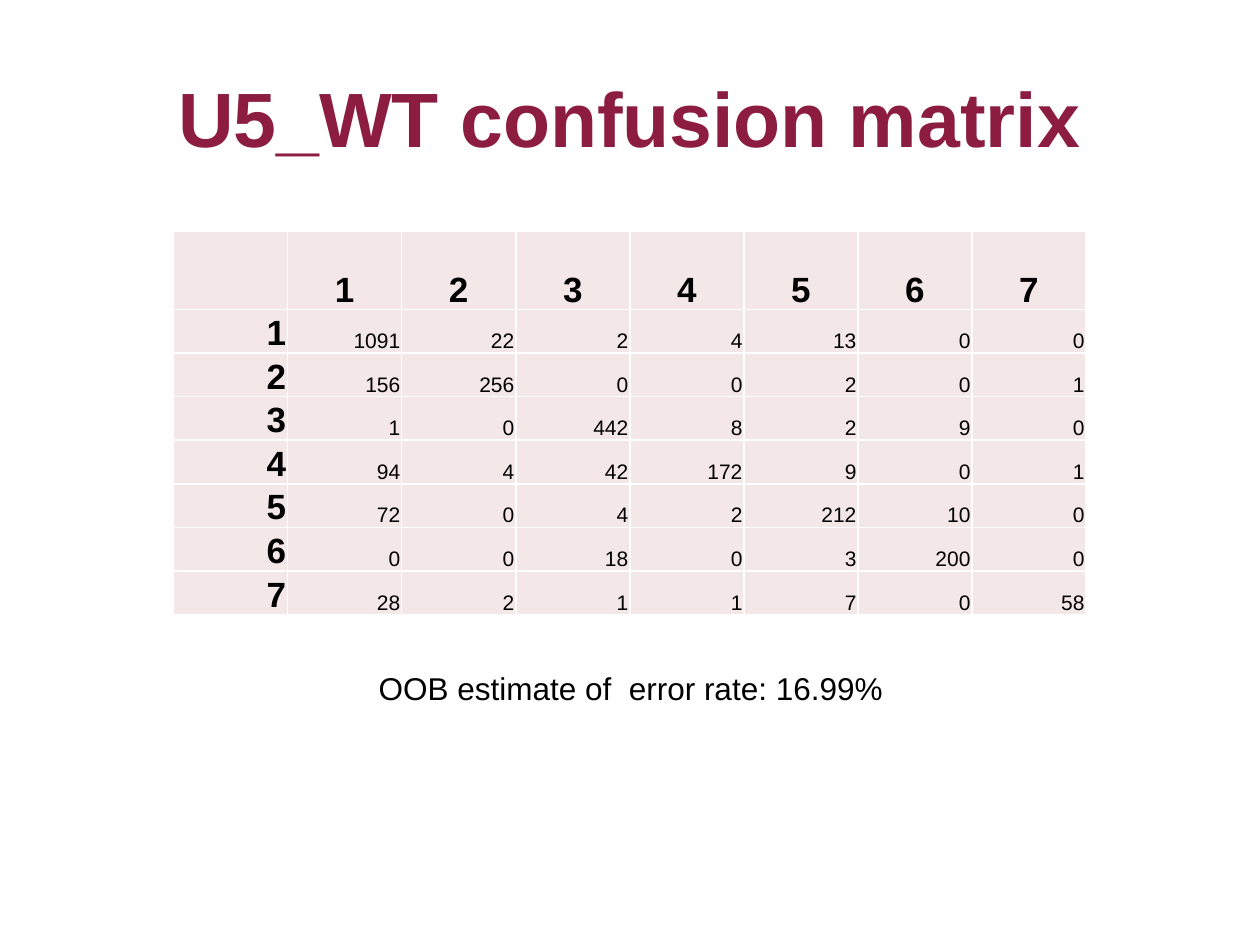
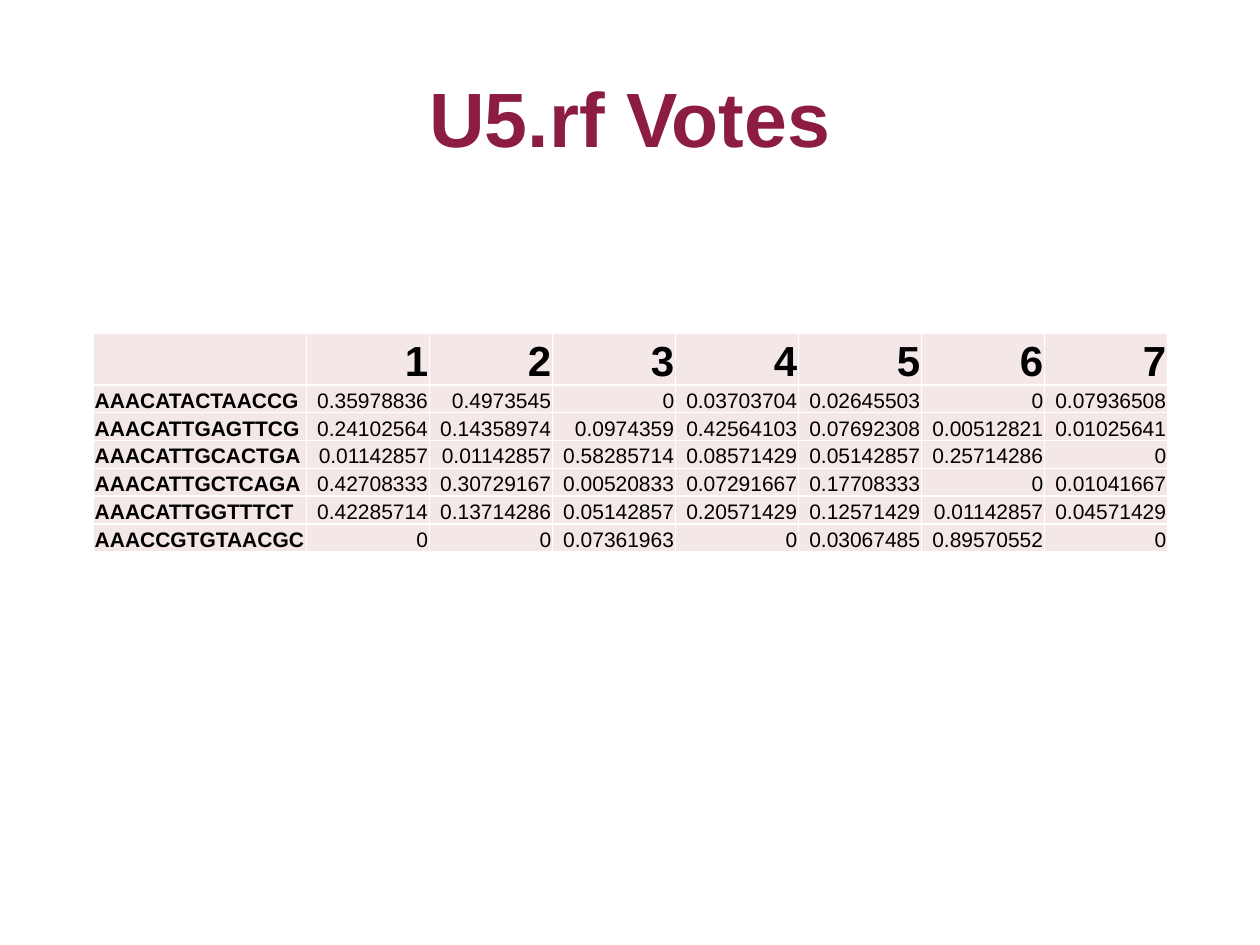
import lxml.etree
import pptx
import pptx.dml.color
import pptx.enum.text
import pptx.oxml.ns
import pptx.util

Cm = pptx.util.Cm
Pt = pptx.util.Pt
ALIGN = pptx.enum.text.PP_ALIGN
ANCHOR = pptx.enum.text.MSO_ANCHOR
qn = pptx.oxml.ns.qn

FONT = "Arial"
COLORS = {"title": "8C1D40", "text": "000000", "cell": "F4E7E7", "border": "FFFFFF"}
CLASSES = ["1", "2", "3", "4", "5", "6", "7"]


def write(frame, text, size, color, bold=False, align=ALIGN.LEFT):
    paragraph = frame.paragraphs[0]
    paragraph.alignment = align
    run = paragraph.add_run()
    run.text = text
    run.font.name = FONT
    run.font.size = Pt(size)
    run.font.bold = bold
    run.font.color.rgb = pptx.dml.color.RGBColor.from_string(COLORS[color])


def style_cell(cell):
    cell.margin_left = cell.margin_right = cell.margin_top = Cm(0.03)
    cell.margin_bottom = Cm(0)
    cell.vertical_anchor = ANCHOR.BOTTOM
    properties = cell._tc.get_or_add_tcPr()
    for side in ("a:lnL", "a:lnR", "a:lnT", "a:lnB"):
        border = lxml.etree.SubElement(properties, qn(side), w=str(Pt(1)))
        fill = lxml.etree.SubElement(border, qn("a:solidFill"))
        lxml.etree.SubElement(fill, qn("a:srgbClr"), val=COLORS["border"])
    cell.fill.solid()
    cell.fill.fore_color.rgb = pptx.dml.color.RGBColor.from_string(COLORS["cell"])


confusion_counts = [
    ["1", "1091", "22", "2", "4", "13", "0", "0"],
    ["2", "156", "256", "0", "0", "2", "0", "1"],
    ["3", "1", "0", "442", "8", "2", "9", "0"],
    ["4", "94", "4", "42", "172", "9", "0", "1"],
    ["5", "72", "0", "4", "2", "212", "10", "0"],
    ["6", "0", "0", "18", "0", "3", "200", "0"],
    ["7", "28", "2", "1", "1", "7", "0", "58"],
]

vote_shares = [
    ["AAACATACTAACCG", "0.35978836", "0.4973545", "0", "0.03703704", "0.02645503", "0", "0.07936508"],
    ["AAACATTGAGTTCG", "0.24102564", "0.14358974", "0.0974359", "0.42564103", "0.07692308", "0.00512821", "0.01025641"],
    ["AAACATTGCACTGA", "0.01142857", "0.01142857", "0.58285714", "0.08571429", "0.05142857", "0.25714286", "0"],
    ["AAACATTGCTCAGA", "0.42708333", "0.30729167", "0.00520833", "0.07291667", "0.17708333", "0", "0.01041667"],
    ["AAACATTGGTTTCT", "0.42285714", "0.13714286", "0.05142857", "0.20571429", "0.12571429", "0.01142857", "0.04571429"],
    ["AAACCGTGTAACGC", "0", "0", "0.07361963", "0", "0.03067485", "0.89570552", "0"],
]

pages = [
    {"title": "U5_WT confusion matrix", "rows": confusion_counts,
     "left": 3.5, "top": 4.67, "label_width": 2.3, "value_width": 2.3,
     "header_height": 1.57, "row_height": 0.81,
     "header_size": 20, "header_align": ALIGN.CENTER,
     "label_size": 20, "label_align": ALIGN.RIGHT,
     "caption": " OOB estimate of  error rate: 16.99%"},
    {"title": "U5.rf Votes", "rows": vote_shares,
     "left": 1.88, "top": 6.71, "label_width": 4.3, "value_width": 2.48,
     "header_height": 1.05, "row_height": 0.56,
     "header_size": 24, "header_align": ALIGN.RIGHT,
     "label_size": 12, "label_align": ALIGN.LEFT,
     "caption": None},
]

deck = pptx.Presentation()
deck.slide_width = Cm(25.4)
deck.slide_height = Cm(19.05)

for page in pages:
    slide = deck.slides.add_slide(deck.slide_layouts[6])

    title = slide.shapes.add_textbox(Cm(1.27), Cm(0.76), Cm(22.86), Cm(3.18)).text_frame
    title.word_wrap = True
    title.vertical_anchor = ANCHOR.MIDDLE
    write(title, page["title"], 44, "title", True, ALIGN.CENTER)

    grid = [[""] + CLASSES] + page["rows"]
    widths = [page["label_width"]] + [page["value_width"]] * len(CLASSES)
    heights = [page["header_height"]] + [page["row_height"]] * len(page["rows"])
    matrix = slide.shapes.add_table(
        len(heights), len(widths), Cm(page["left"]), Cm(page["top"]),
        Cm(sum(widths)), Cm(sum(heights))).table
    for column, width in zip(matrix.columns, widths):
        column.width = Cm(width)
    for row, height in zip(matrix.rows, heights):
        row.height = Cm(height)

    for r, values in enumerate(grid):
        for c, value in enumerate(values):
            cell = matrix.cell(r, c)
            style_cell(cell)
            if not value:
                continue
            if r == 0:
                size, align = page["header_size"], page["header_align"]
            elif c == 0:
                size, align = page["label_size"], page["label_align"]
            else:
                size, align = 12, ALIGN.RIGHT
            write(cell.text_frame, value, size, "text", r == 0 or c == 0, align)

    if page["caption"]:
        caption = slide.shapes.add_textbox(Cm(7.21), Cm(13.36), Cm(10.95), Cm(1.02)).text_frame
        caption.word_wrap = False
        caption.auto_size = pptx.enum.text.MSO_AUTO_SIZE.SHAPE_TO_FIT_TEXT
        write(caption, page["caption"], 18, "text")

deck.save("out.pptx")
